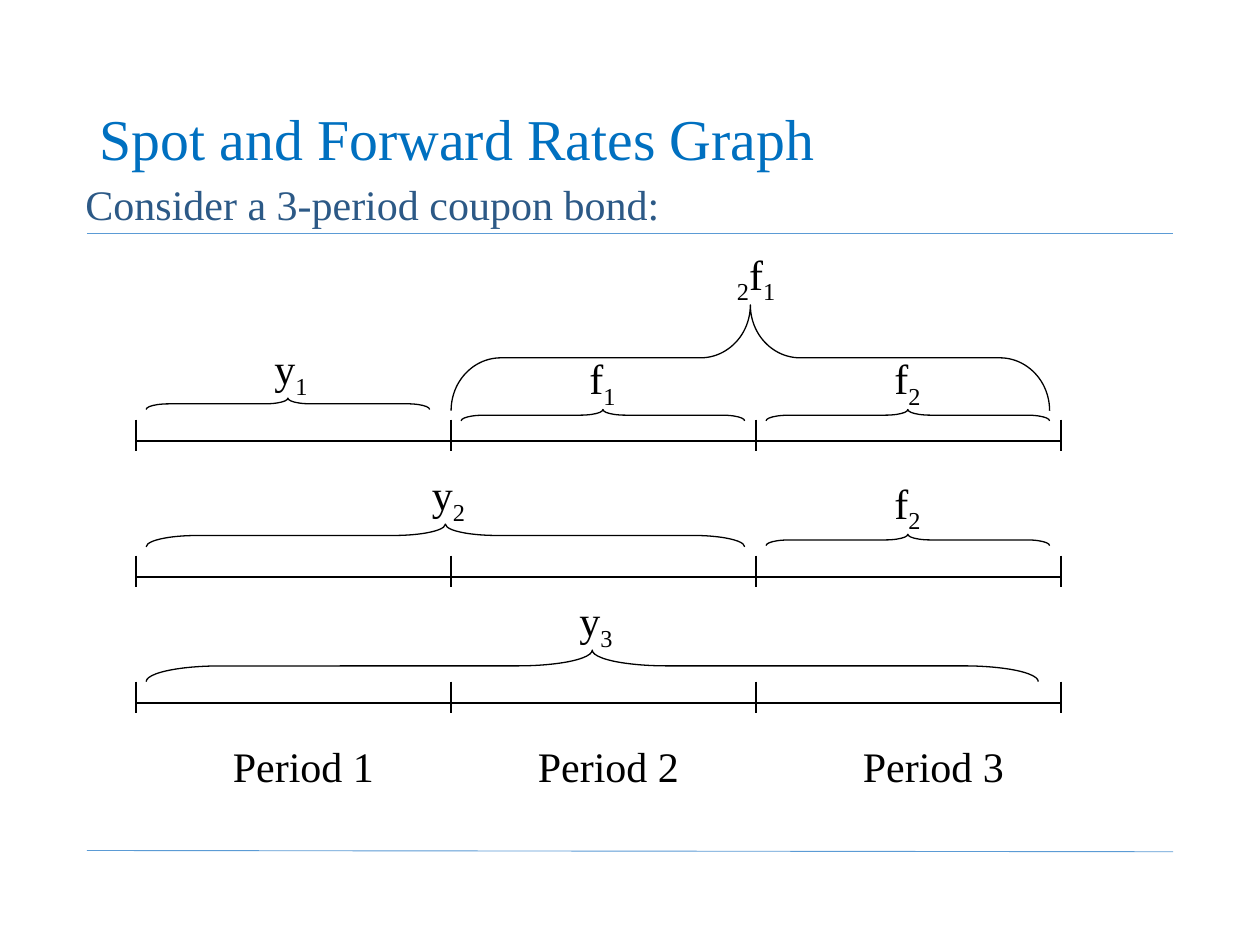
from dataclasses import dataclass, field

from lxml import etree
from pptx import Presentation
from pptx import util as u
from pptx.dml.color import RGBColor
from pptx.enum import shapes as s
from pptx.enum import text as t
from pptx.oxml.ns import qn

FONT = "Times New Roman"
COLORS = {"ink": "000000", "title": "0070C0", "lead": "2C5986", "rule": "5B9BD5"}
TICKS = (1.08, 3.58, 6, 8.42)  # period boundaries


@dataclass
class Label:
    words: tuple[str, ...]  # a leading "_" marks a subscript
    x: float
    y: float
    w: float


@dataclass
class Brace:
    x: float
    y: float
    w: float
    h: float = 0.09
    curl: float = 2
    tip: float = 0.5


@dataclass
class Row:
    axis: float
    labels: list[Label] = field(default_factory=list)
    braces: list[Brace] = field(default_factory=list)


# Timelines with the rates that belong to them
ROWS = [
    Row(3.5, [Label(("y", "_1"), 2.08, 2.67, 0.48)], [Brace(1.16, 3.16, 2.25)]),
    Row(4.58,
        [Label(("y", "_2"), 3.33, 3.67, 0.48), Label(("f", "_2"), 7, 3.74, 0.42)],
        [Brace(1.16, 4.16, 4.75, 0.18, 2.26), Brace(6.08, 4.24, 2.25)]),
    Row(5.58,
        [Label(("y", "_3"), 4.5, 4.67, 0.48)]
        + [Label((f"Period {n}",), x, 5.83, 1.32)
           for n, x in enumerate((1.75, 4.17, 6.75), 1)],
        [Brace(1.16, 5.16, 7.08, 0.25, 2.36)]),
]

# Forward rates above the first timeline
LABELS = [
    Label(("_2", "f", "_1"), 5.75, 1.92, 0.53),
    Label(("f", "_1"), 4.58, 2.75, 0.42),
    Label(("f", "_2"), 7, 2.75, 0.42),
]
BRACES = [
    Brace(3.58, 2.42, 4.75, 0.84, 0.47, 0.5),
    Brace(3.66, 3.25, 2.25),
    Brace(6.08, 3.25, 2.25),
]


def paint(line, color: str, width: float) -> None:
    line.color.rgb = RGBColor.from_string(COLORS[color])
    line.width = u.Pt(width)


def draw_line(pool, x1: float, y1: float, x2: float, y2: float,
              color: str = "ink", width: float = 0.75) -> None:
    line = pool.add_connector(s.MSO_CONNECTOR.STRAIGHT, u.Inches(x1), u.Inches(y1),
                              u.Inches(x2), u.Inches(y2))
    paint(line.line, color, width)
    etree.SubElement(line._element.spPr, qn("a:effectLst"))


def draw_text(pool, label: Label, size: float = 24, color: str = "ink",
              h: float = 0.5, wrap: bool = False):
    box = pool.add_textbox(u.Inches(label.x), u.Inches(label.y),
                           u.Inches(label.w), u.Inches(h))
    frame = box.text_frame
    frame.word_wrap = wrap
    para = frame.paragraphs[0]
    for word in label.words:
        run = para.add_run()
        run.text = word.lstrip("_")
        run.font.name = FONT
        run.font.size = u.Pt(size)
        run.font.color.rgb = RGBColor.from_string(COLORS[color])
        if word.startswith("_"):
            run.font._element.set("baseline", "-25000")
    return frame


def draw_brace(pool, brace: Brace) -> None:
    # A left brace turned by 90 degrees about its centre points upwards
    left = brace.x + (brace.w - brace.h) / 2
    top = brace.y + (brace.h - brace.w) / 2
    shape = pool.add_shape(s.MSO_SHAPE.LEFT_BRACE, u.Inches(left), u.Inches(top),
                           u.Inches(brace.h), u.Inches(brace.w))
    shape.rotation = 90
    shape.adjustments[0] = brace.curl
    shape.adjustments[1] = brace.tip
    shape.shadow.inherit = False
    shape.fill.background()
    paint(shape.line, "ink", 0.75)


def draw_marks(pool, labels: list[Label], braces: list[Brace]) -> None:
    for label in labels:
        draw_text(pool, label)
    for brace in braces:
        draw_brace(pool, brace)


def draw_row(pool, row: Row) -> None:
    group = pool.add_group_shape().shapes
    draw_line(group, TICKS[0], row.axis, TICKS[-1], row.axis)
    for x in TICKS:
        draw_line(group, x, row.axis - 0.17, x, row.axis + 0.08)
    draw_marks(group, row.labels, row.braces)


def main() -> None:
    deck = Presentation()
    deck.slide_width, deck.slide_height = u.Inches(10), u.Inches(7.5)
    pool = deck.slides.add_slide(deck.slide_layouts[6]).shapes

    # Rules below the heading and above the foot
    draw_line(pool, 0.69, 1.85, 9.31, 1.85, "rule", 0.5)
    draw_line(pool, 0.69, 6.75, 9.31, 6.76, "rule", 0.5)

    # Heading
    title = Label(("Spot and Forward Rates Graph",), 0.69, 0.4, 8.62)
    frame = draw_text(pool, title, 33, "title", 1.45, True)
    frame.vertical_anchor = t.MSO_ANCHOR.MIDDLE
    frame.paragraphs[0].line_spacing = 0.9
    lead = Label(("Consider a 3-period coupon bond:",), 0.58, 1.37, 7.83)
    draw_text(pool, lead, color="lead", wrap=True)

    # Graph
    for row in ROWS:
        draw_row(pool, row)
    draw_marks(pool, LABELS, BRACES)

    deck.save("out.pptx")


if __name__ == "__main__":
    main()
